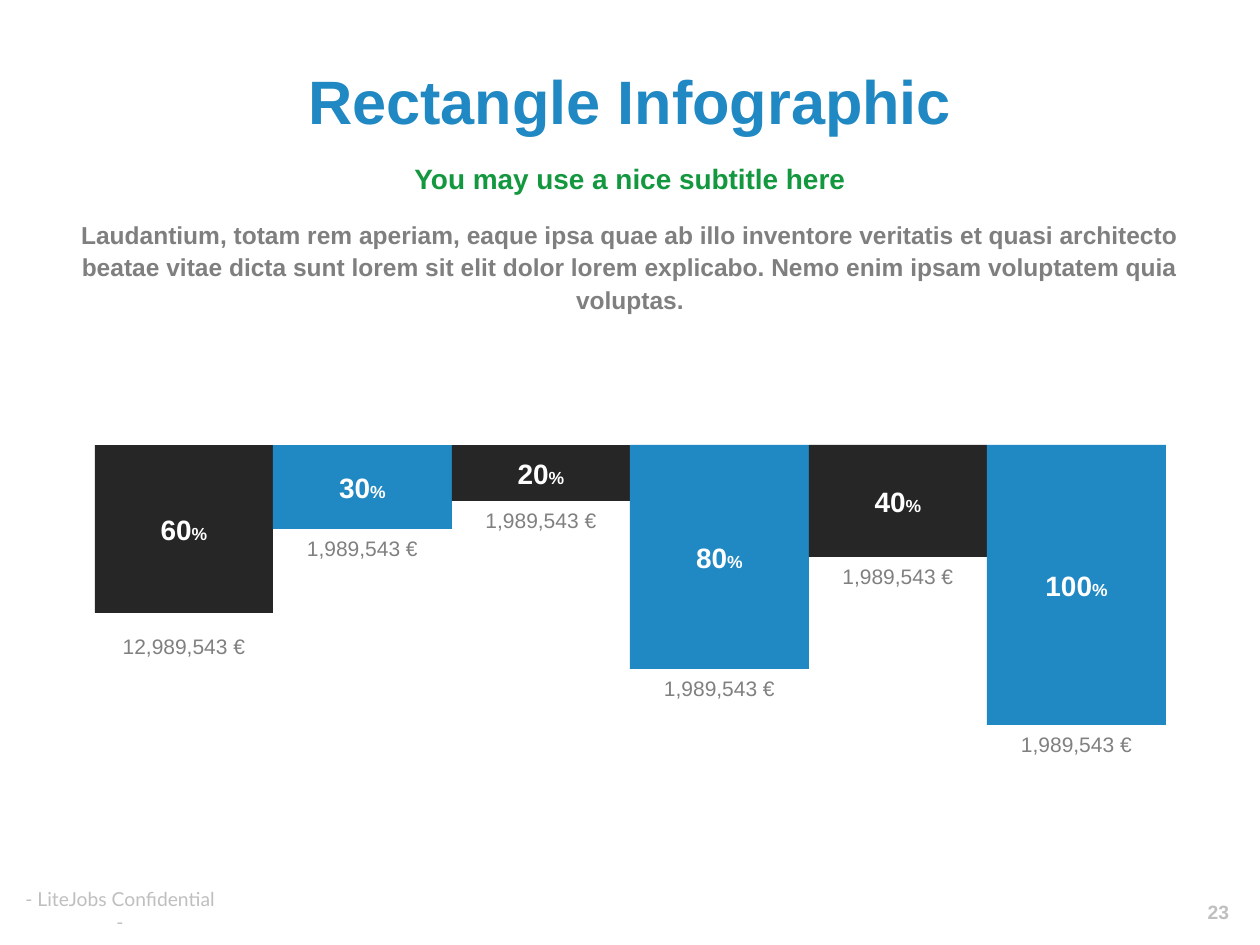
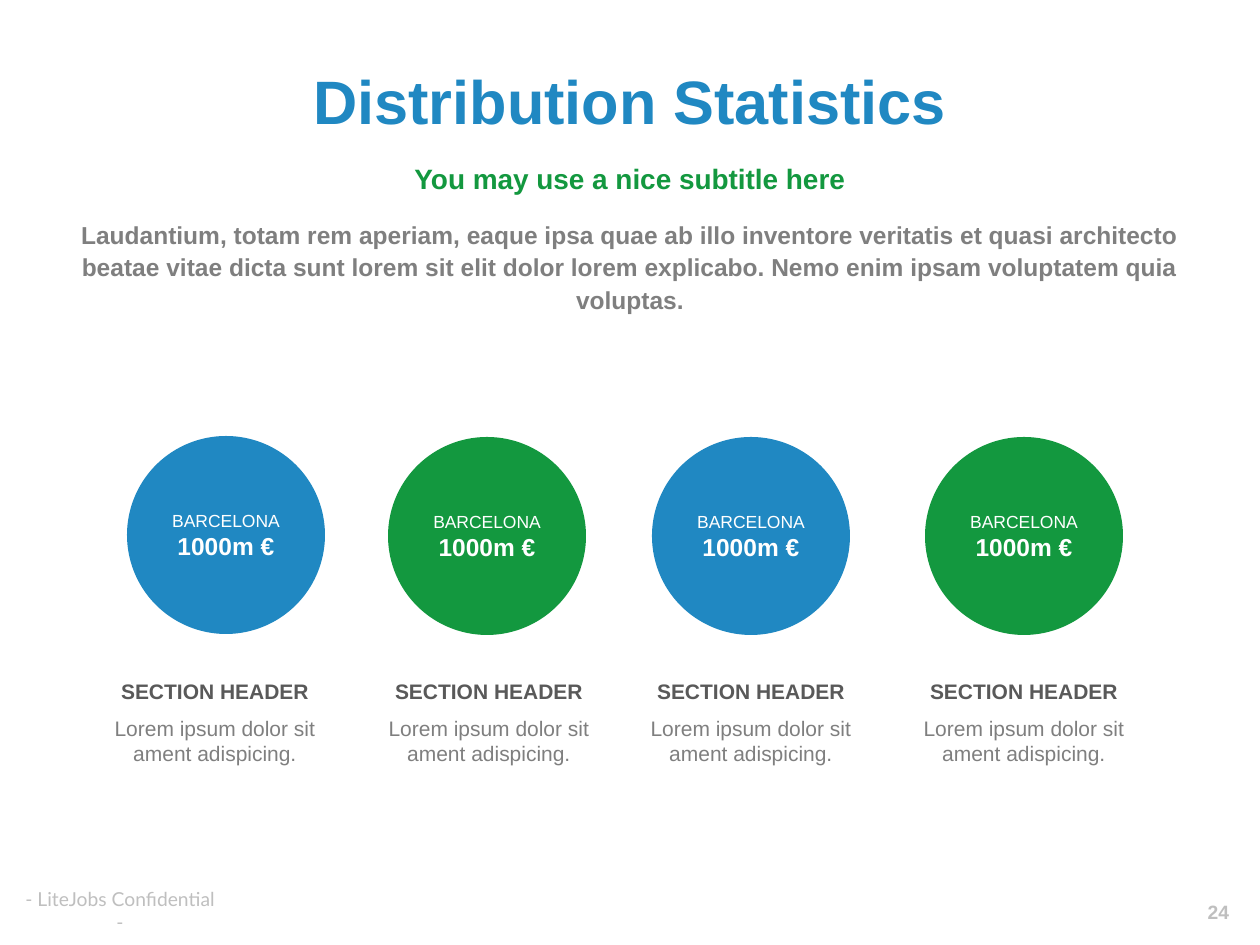
from dataclasses import dataclass

from pptx import Presentation
from pptx.dml.color import RGBColor
from pptx.enum.shapes import MSO_SHAPE
from pptx.enum.text import MSO_ANCHOR, PP_ALIGN
from pptx.util import Emu, Pt


@dataclass(frozen=True)
class TextStyle:
    size: int
    color: str
    bold: bool = False
    font: str = "Arial"


@dataclass(frozen=True)
class Theme:
    blue: str = "2088C2"
    green: str = "13983F"
    dark: str = "262626"
    title: TextStyle = TextStyle(35, "2088C2", True)
    subtitle: TextStyle = TextStyle(16, "13983F", True)
    intro: TextStyle = TextStyle(14, "7F7F7F", True)
    footer: TextStyle = TextStyle(11, "BFBFBF", font="Lato")
    page_number: TextStyle = TextStyle(11, "BFBFBF", True)
    percent: TextStyle = TextStyle(16, "FFFFFF", True)
    percent_sign: TextStyle = TextStyle(10, "FFFFFF", True)
    amount: TextStyle = TextStyle(12, "808080")
    city: TextStyle = TextStyle(10, "FFFFFF")
    city_total: TextStyle = TextStyle(14, "FFFFFF", True)
    section_header: TextStyle = TextStyle(12, "595959", True)
    section_text: TextStyle = TextStyle(12, "7F7F7F")


theme = Theme()


def px(length):
    return Emu(round(length * 914400 / 126))


def add_text(slide, box, paragraphs, anchor=MSO_ANCHOR.MIDDLE, preset=None, fill=None, spacing=None):
    position = [px(length) for length in box]
    if preset is None:
        shape = slide.shapes.add_textbox(*position)
    else:
        shape = slide.shapes.add_shape(preset, *position)
        shape.shadow.inherit = False
        shape.fill.solid()
        shape.fill.fore_color.rgb = RGBColor.from_string(fill)
        shape.line.fill.background()
    text_frame = shape.text_frame
    text_frame.word_wrap = True
    text_frame.vertical_anchor = anchor
    for index, pieces in enumerate(paragraphs):
        paragraph = text_frame.add_paragraph() if index else text_frame.paragraphs[0]
        paragraph.alignment = PP_ALIGN.CENTER
        paragraph.line_spacing = spacing
        for text, style in pieces:
            run = paragraph.add_run()
            run.text = text
            run.font.name = style.font
            run.font.size = Pt(style.size)
            run.font.bold = style.bold
            run.font.color.rgb = RGBColor.from_string(style.color)
    return shape


presentation = Presentation()
presentation.slide_width = px(1260)
presentation.slide_height = px(945)

intro_text = (
    "Laudantium, totam rem aperiam, eaque ipsa quae ab illo inventore veritatis et quasi architecto "
    "beatae vitae dicta sunt lorem sit elit dolor lorem explicabo. Nemo enim ipsam voluptatem quia voluptas."
)
slides = []
for page, title in [(23, "Rectangle Infographic"), (24, "Distribution Statistics")]:
    slide = presentation.slides.add_slide(presentation.slide_layouts[6])
    add_text(slide, (10, 885, 220, 50), [[("- LiteJobs Confidential -", theme.footer)]])
    add_text(slide, (63, 53, 1134, 94), [[(title, theme.title)]])
    add_text(slide, (63, 147, 1134, 59), [[("You may use a nice subtitle here", theme.subtitle)]], spacing=1.1)
    add_text(slide, (1187, 887, 63, 50), [[(str(page), theme.page_number)]])
    intro = add_text(slide, (63, 248, 1134, 67), [[(intro_text, theme.intro)]], spacing=1.1)
    intro.text_frame.margin_bottom = px(38)
    slides.append(slide)
bar_slide, circle_slide = slides

bars_left, bars_right, bars_top, full_height = 95, 1166, 445, 280
bars = [
    (60, "12,989,543 €", 14),
    (30, "1,989,543 €", 0),
    (20, "1,989,543 €", 0),
    (80, "1,989,543 €", 0),
    (40, "1,989,543 €", 0),
    (100, "1,989,543 €", 0),
]
for index, (percent, amount, gap) in enumerate(bars):
    left, right = [
        bars_left + (bars_right - bars_left) * edge // len(bars) for edge in (index, index + 1)
    ]
    width = right - left
    height = full_height * percent // 100
    add_text(
        bar_slide,
        (left, bars_top, width, height),
        [[(str(percent), theme.percent), ("%", theme.percent_sign)]],
        preset=MSO_SHAPE.RECTANGLE,
        fill=theme.blue if index % 2 else theme.dark,
    )
    add_text(
        bar_slide,
        (left, bars_top + height + gap, width, 63),
        [[(amount, theme.amount)]],
        anchor=MSO_ANCHOR.TOP,
    )

diameter, section_width = 198, 242
circles = [(127, 436, 94), (388, 437, 368), (652, 437, 630), (925, 437, 903)]
for index, (circle_left, circle_top, section_left) in enumerate(circles):
    add_text(
        circle_slide,
        (circle_left, circle_top, diameter, diameter),
        [[("BARCELONA", theme.city)], [("1000m €", theme.city_total)]],
        preset=MSO_SHAPE.OVAL,
        fill=theme.green if index % 2 else theme.blue,
    )
    for top, height, text, style in [
        (672, 38, "SECTION HEADER", theme.section_header),
        (709, 57, "Lorem ipsum dolor sit ament adispicing.", theme.section_text),
    ]:
        add_text(
            circle_slide,
            (section_left, top, section_width, height),
            [[(text, style)]],
            anchor=MSO_ANCHOR.TOP,
        )

presentation.save("out.pptx")
